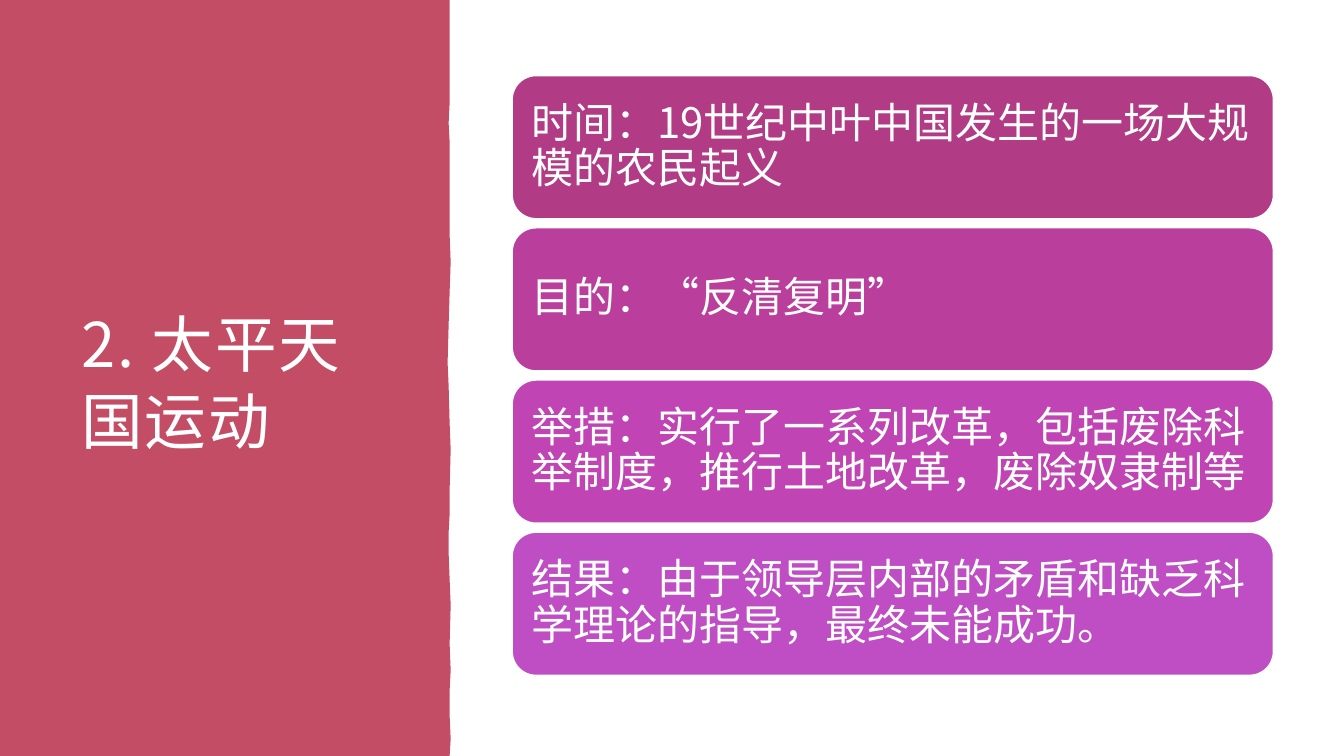
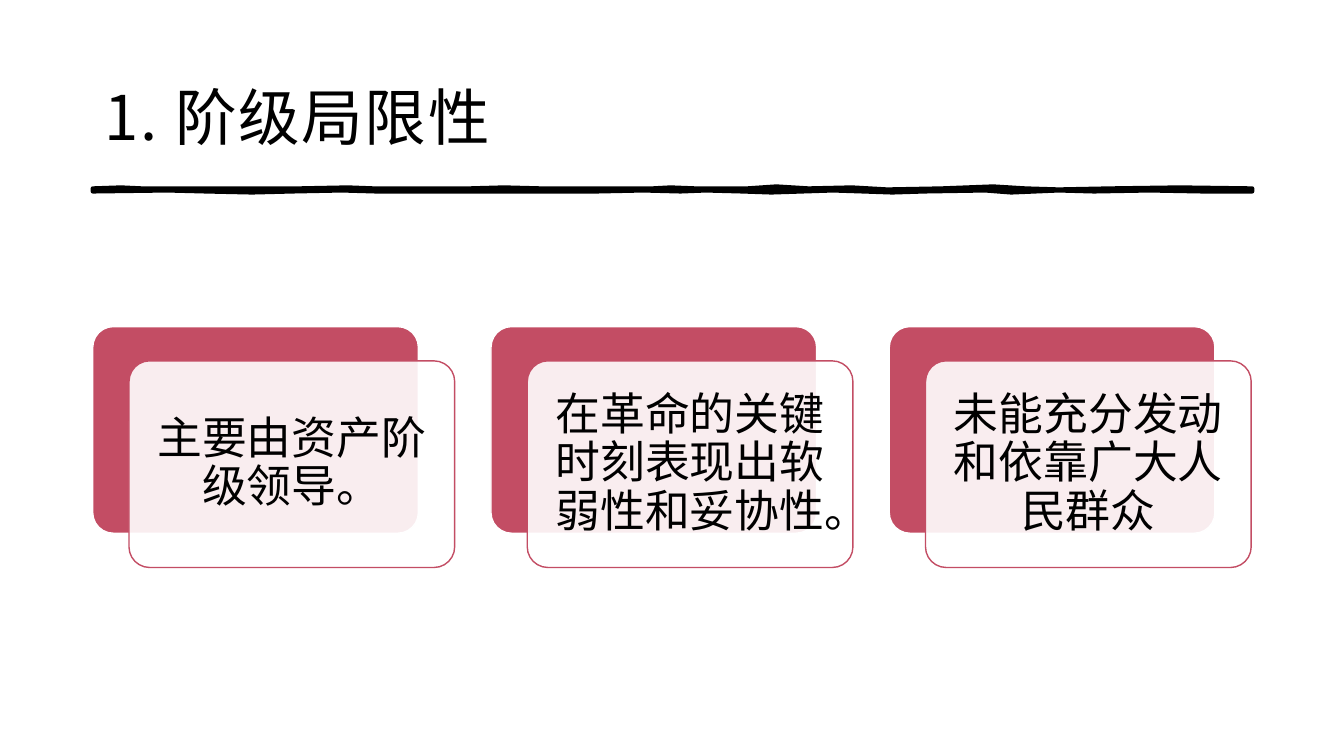
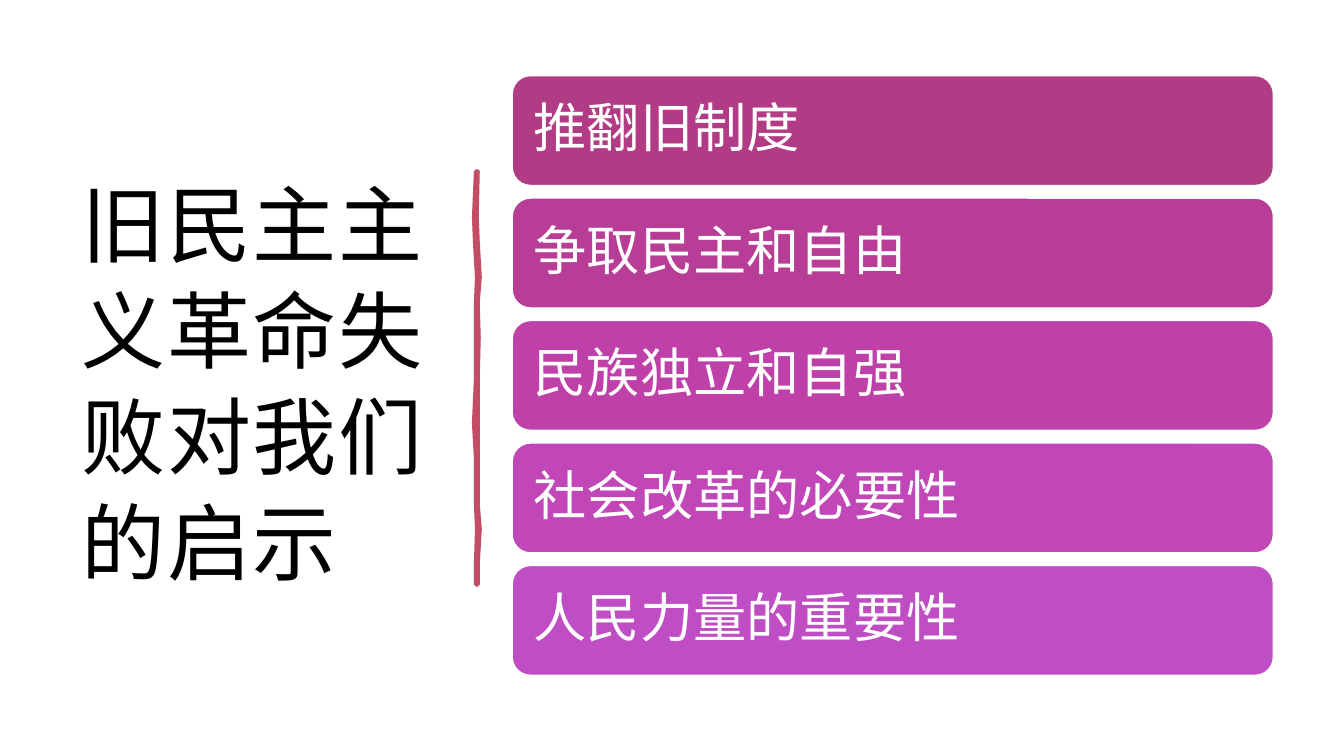
from lxml.etree import SubElement
from pptx import Presentation
from pptx.dml.color import RGBColor
from pptx.enum.lang import MSO_LANGUAGE_ID as Language
from pptx.enum.shapes import MSO_SHAPE as Shape
from pptx.enum.text import MSO_ANCHOR as Anchor, MSO_AUTO_SIZE as AutoSize, PP_ALIGN as Align
from pptx.oxml.ns import qn
from pptx.util import Pt

SCALE = 9144
FONT = "Noto Sans CJK SC"
COLORS = {
    "rose": "C34D64",
    "white": "FFFFFF",
    "black": "000000",
    "plum": "B13B84",
    "plum_magenta": "B83D96",
    "magenta": "BA3E9C",
    "bright_magenta": "BE40A8",
    "orchid": "C044B3",
    "bright_orchid": "C146B8",
    "violet": "BF4DC3",
}
RGB = {name: RGBColor.from_string(value) for name, value in COLORS.items()}


def write_text(shape, text, size, color, align, spacing, insets):
    frame = shape.text_frame
    frame.text = text
    left, top, right, bottom = [inset * SCALE for inset in insets]
    frame_format = {
        "word_wrap": True,
        "auto_size": AutoSize.NONE,
        "vertical_anchor": Anchor.MIDDLE,
        "margin_left": left,
        "margin_top": top,
        "margin_right": right,
        "margin_bottom": bottom,
    }
    for name, value in frame_format.items():
        setattr(frame, name, value)
    paragraph = frame.paragraphs[0]
    paragraph.alignment = align
    paragraph.line_spacing = spacing
    run = paragraph.runs[0]
    font_format = {
        "name": FONT,
        "size": Pt(size),
        "bold": False,
        "language_id": Language.SIMPLIFIED_CHINESE,
    }
    for name, value in font_format.items():
        setattr(run.font, name, value)
    run.font.color.rgb = RGB[color]
    properties = run.font._element
    SubElement(properties, qn("a:ea")).set("typeface", FONT)
    return properties


def add_rounded_box(slide, box, fill, line):
    shape = slide.shapes.add_shape(Shape.ROUNDED_RECTANGLE, *[round(length * SCALE) for length in box])
    shape.shadow.inherit = False
    shape.fill.solid()
    shape.fill.fore_color.rgb = RGB[fill]
    shape.line.color.rgb = RGB[line]
    shape.line.width = Pt(1)
    return shape


panel_edge = [
    (446, 0), (446, 63), (446, 102), (445, 122), (446, 141), (446, 174), (446, 233),
    (447, 260), (446, 290), (445, 322), (444, 360), (445, 383), (446, 420), (447, 446),
    (446, 486), (446, 510), (445, 528), (445, 549), (446, 575), (447, 600), (446, 639),
    (447, 665), (446, 685), (446, 710), (447, 733), (446, 750),
]
rule_top = [
    (92, 187), (120, 186), (141, 187), (180, 187), (212, 187), (296, 187), (345, 186),
    (371, 187), (465, 187), (500, 186), (537, 187), (600, 187), (647, 187), (665, 186),
    (690, 187), (741, 187), (770, 185), (802, 187), (845, 186), (880, 188), (934, 187),
    (985, 185), (1017, 187), (1050, 188), (1101, 187), (1170, 186), (1242, 187),
]
rule_bottom = [
    (1242, 190), (1193, 190), (1140, 189), (1085, 190), (1050, 189), (1003, 191),
    (977, 189), (917, 190), (885, 191), (856, 190), (826, 189), (765, 191), (736, 190),
    (700, 189), (675, 190), (638, 189), (592, 190), (540, 190), (483, 190), (422, 190),
    (373, 190), (339, 189), (290, 190), (250, 191), (204, 190), (166, 189), (92, 190),
]
divider_right = [
    (474, 170), (473, 215), (474, 240), (476, 275), (474, 300), (475, 335), (474, 375),
    (474, 420), (474, 455), (474, 500), (476, 525), (474, 560), (474, 580),
]
divider_left = [
    (472, 580), (472, 560), (473, 525), (472, 500), (472, 455), (470, 420), (472, 375),
    (472, 335), (472, 300), (473, 275), (471, 240), (470, 215), (472, 170),
]

pages = [
    {
        "title": "2. 太平天国运动",
        "box": (69, 70, 339, 611), "size": 44, "color": "white",
        "outline": [(0, 0), *panel_edge, (0, 750)], "fill": "rose", "stroke": 0,
    },
    {
        "title": "1. 阶级局限性",
        "box": (92, 40, 1150, 145), "size": 44, "color": "black",
        "outline": rule_top + rule_bottom, "fill": "black", "stroke": 3,
    },
    {
        "title": "旧民主主义革命失败对我们的启示",
        "box": (69, 70, 374, 611), "size": 60, "color": "black",
        "outline": divider_right + divider_left, "fill": "rose", "stroke": 2.75,
    },
]

presentation = Presentation()
presentation.slide_width = 1333 * SCALE
presentation.slide_height = 750 * SCALE
slides = []

for page in pages:
    slide = presentation.slides.add_slide(presentation.slide_layouts[5])
    slides.append(slide)
    start, *points = page["outline"]
    builder = slide.shapes.build_freeform(*start, scale=SCALE)
    builder.add_line_segments(points, close=True)
    decoration = builder.convert_to_shape()
    decoration.shadow.inherit = False
    decoration.fill.solid()
    decoration.fill.fore_color.rgb = RGB[page["fill"]]
    if page["stroke"]:
        decoration.line.color.rgb = RGB[page["fill"]]
        decoration.line.width = Pt(page["stroke"])
    else:
        decoration.line.fill.background()
    title = slide.shapes.title
    for name, length in zip(("left", "top", "width", "height"), page["box"]):
        setattr(title, name, length * SCALE)
    properties = write_text(
        title, page["title"], page["size"], page["color"], Align.LEFT, 1.05, (12, 12, 12, 10)
    )
    properties.set("spc", "120")
    title.element.getparent().append(title.element)

movement_slide, limits_slide, lessons_slide = slides

stacks = [
    {
        "slide": movement_slide, "height": 142, "size": 30, "inset": 12,
        "rows": [
            ("时间：19世纪中叶中国发生的一场大规模的农民起义", "plum"),
            ("目的：“反清复明”", "magenta"),
            ("举措：实行了一系列改革，包括废除科举制度，推行土地改革，废除奴隶制等", "orchid"),
            ("结果：由于领导层内部的矛盾和缺乏科学理论的指导，最终未能成功。", "violet"),
        ],
    },
    {
        "slide": lessons_slide, "height": 109, "size": 38, "inset": 16,
        "rows": [
            ("推翻旧制度", "plum"),
            ("争取民主和自由", "plum_magenta"),
            ("民族独立和自强", "bright_magenta"),
            ("社会改革的必要性", "bright_orchid"),
            ("人民力量的重要性", "violet"),
        ],
    },
]
stack_top, stack_height = 75, 595

for stack in stacks:
    height, rows = stack["height"], stack["rows"]
    step = (stack_height - height) / (len(rows) - 1)
    for index, (text, fill) in enumerate(rows):
        row_box = (508, stack_top + index * step, 755, height)
        row = add_rounded_box(stack["slide"], row_box, fill, "white")
        write_text(row, text, stack["size"], "white", Align.LEFT, 0.9, [stack["inset"]] * 4)

limits = [
    "主要由资产阶级领导。",
    "在革命的关键时刻表现出软弱性和妥协性。",
    "未能充分发动和依靠广大人民群众",
]
for index, text in enumerate(limits):
    left = 92 + index * 395
    back = add_rounded_box(limits_slide, (left, 324, 323, 205), "rose", "white")
    front = add_rounded_box(limits_slide, (left + 36, 358, 323, 205), "white", "rose")
    for card in (back, front):
        card.adjustments[0] = 0.1
    front_color = front.element.spPr.find(qn("a:solidFill")).find(qn("a:srgbClr"))
    SubElement(front_color, qn("a:alpha")).set("val", "90000")
    write_text(front, text, 32, "black", Align.CENTER, 0.9, [13] * 4)

presentation.save("out.pptx")
